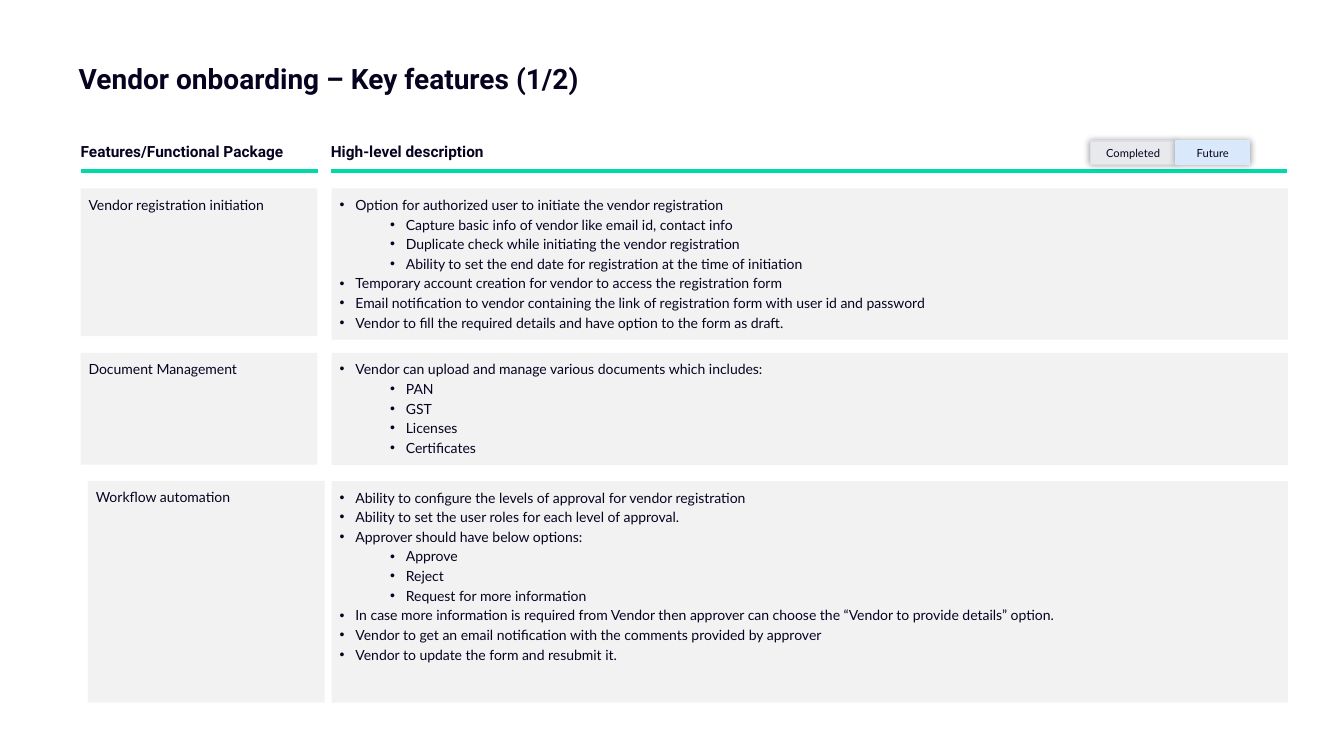
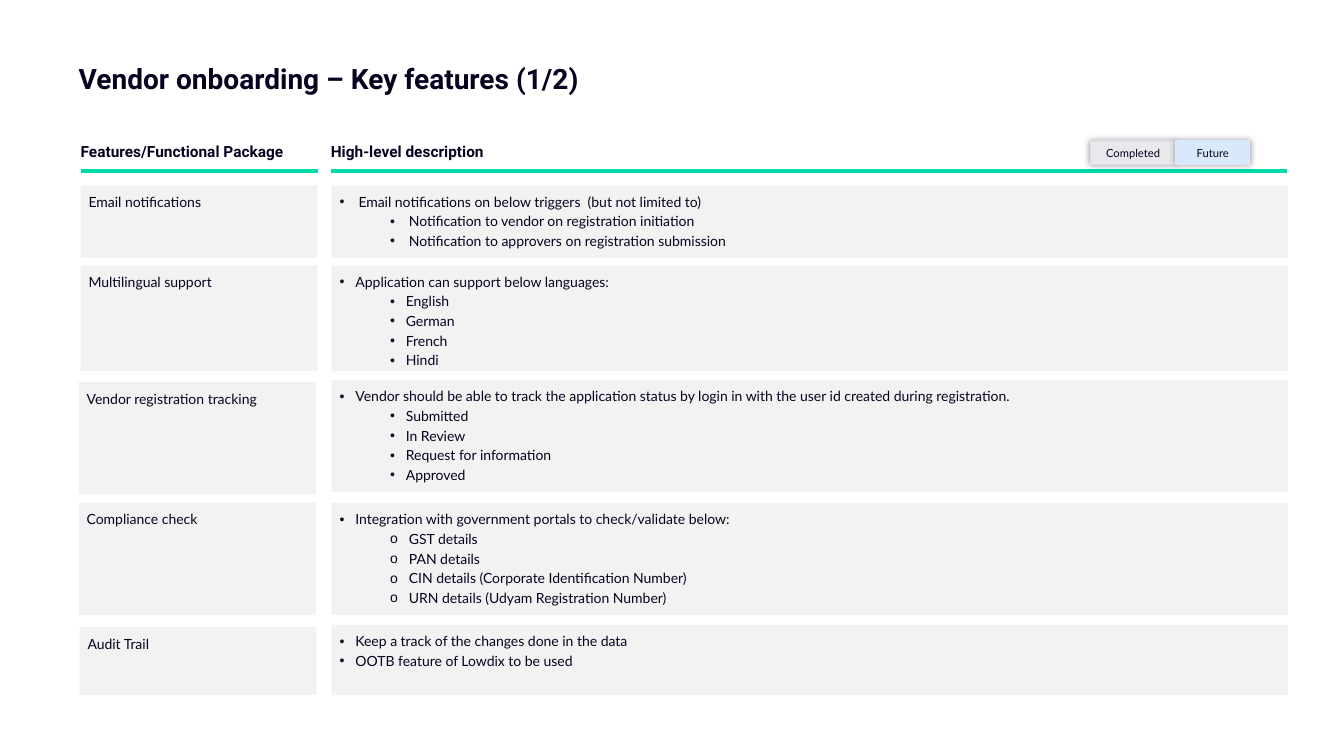
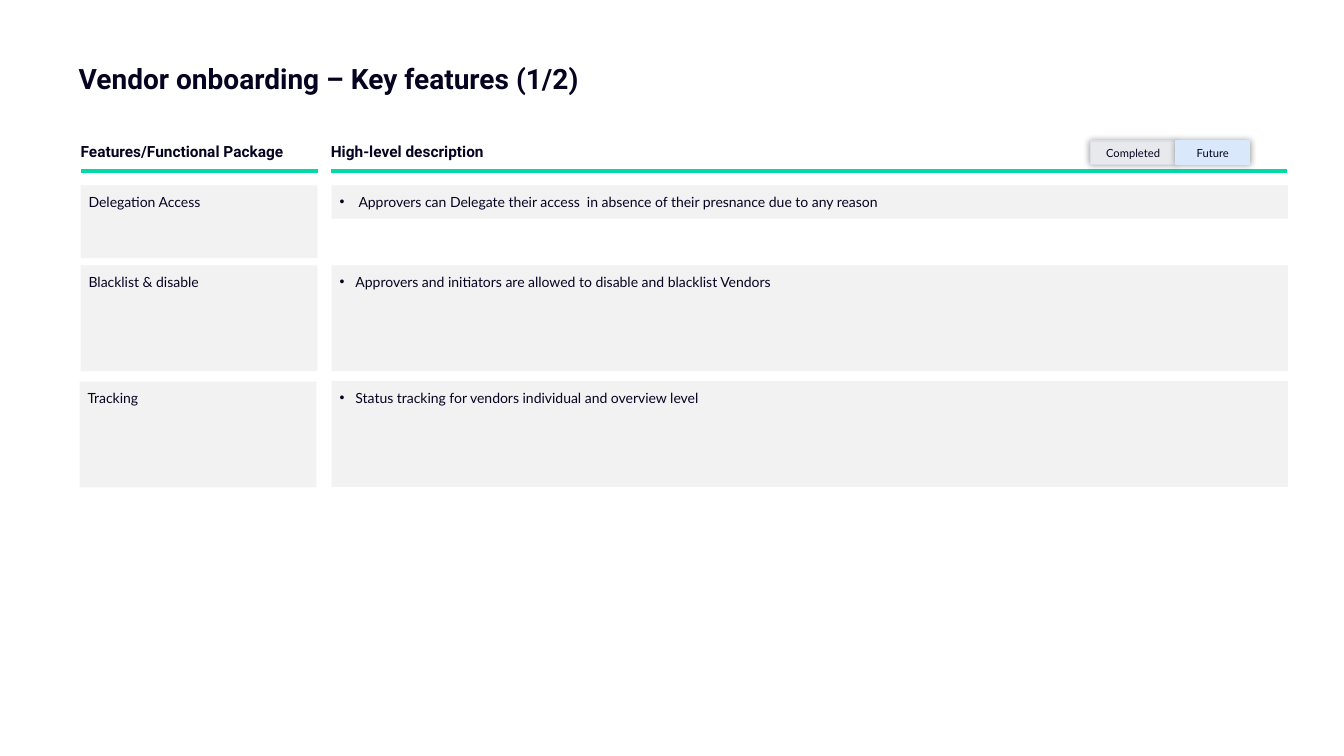
import copy
import dataclasses

import lxml.etree
import pptx
import pptx.dml.color
import pptx.enum.shapes
import pptx.enum.text
import pptx.oxml.ns
import pptx.util

Pt = pptx.util.Pt
qn = pptx.oxml.ns.qn
RGB = pptx.dml.color.RGBColor.from_string
Align = pptx.enum.text.PP_ALIGN
Anchor = pptx.enum.text.MSO_ANCHOR
Fit = pptx.enum.text.MSO_AUTO_SIZE
Shape = pptx.enum.shapes.MSO_SHAPE
Line = pptx.enum.shapes.MSO_CONNECTOR


@dataclasses.dataclass(frozen=True)
class Theme:
    """Colours, fonts, sizes and columns that all slides share."""
    ink: str = "060320"
    panel: str = "F2F2F2"
    rule: str = "00DAA9"
    done: tuple = ("E7E9ED", "DCDEE4")
    next: tuple = ("D9E9FB", "D9E9FB")
    head: str = "Roboto"
    body: str = "Lato"
    title: float = 20
    label: float = 11
    text: float = 10
    chip: float = 8
    pad: float = 5.7
    name: tuple = (57.6, 169.2)
    desc: tuple = (236.9, 683)


@dataclasses.dataclass(frozen=True)
class Row:
    """One feature: its name, its list and where the two panels sit."""
    name: str
    items: tuple
    top: float
    high: float
    tall: float = 0
    push: float = 0
    drop: float = 0
    lead: float = 11.3
    hang: float = 11.3
    mark: str = "•"


THEME = Theme()
TITLE = "Vendor onboarding – Key features (1/2)"
MOST = 5

FIRST = (
    Row("Vendor registration initiation", (
        "Option for authorized user to initiate the vendor registration",
        ("Capture basic info of vendor like email id, contact info",
         "Duplicate check while initiating the vendor registration",
         "Ability to set the end date for registration at the time of initiation"),
        "Temporary account creation for vendor to access the registration form",
        "Email notification to vendor containing the link of registration form with user id and password",
        "Vendor to fill the required details and have option to the form as draft.",
    ), 134.6, 108, tall=105.6),
    Row("Document Management", (
        "Vendor can upload and manage various documents which includes:",
        ("PAN", "GST", "Licenses", "Certificates"),
    ), 252, 80),
    Row("Workflow automation", (
        "Ability to configure the levels of approval for vendor registration",
        "Ability to set the user roles for each level of approval.",
        "Approver should have below options:",
        ("Approve", "Reject", "Request for more information"),
        "In case more information is required from Vendor then approver can choose the “Vendor to provide details” option.",
        "Vendor to get an email notification with the comments provided by approver",
        "Vendor to update the form and resubmit it.",
    ), 343.6, 158.4, push=5.2),
)

SECOND = (
    Row("Email notifications", (
        "Email notifications on below triggers  (but not limited to)",
        ("Notification to vendor on registration initiation",
         "Notification to approvers on registration submission"),
    ), 132.4, 52, lead=13.5, hang=13.5),
    Row("Multilingual support", (
        "Application can support below languages:",
        ("English", "German", "French", "Hindi"),
    ), 189.5, 75.6),
    Row("Vendor registration tracking", (
        "Vendor should be able to track the application status by login in with the user id created during registration.",
        ("Submitted", "In Review", "Request for information", "Approved"),
    ), 271.4, 80, push=-1.4, drop=1.6),
    Row("Compliance check", (
        "Integration with government portals to check/validate below:",
        ("GST details", "PAN details",
         "CIN details (Corporate Identification Number)",
         "URN details (Udyam Registration Number)"),
    ), 359.3, 80, push=-1.4, hang=13.5, mark="o"),
    Row("Audit Trail", (
        "Keep a track of the changes done in the data",
        "OOTB feature of Lowdix to be used",
    ), 446.4, 50.2, tall=48.4, push=-0.8, drop=1.6),
)

THIRD = (
    Row("Delegation Access", (
        "Approvers can Delegate their access  in absence of their presnance due to any reason",
    ), 132.4, 23.8, tall=52, lead=13.5),
    Row("Blacklist & disable", (
        "Approvers and initiators are allowed to disable and blacklist Vendors",
    ), 189.5, 75.6),
    Row("Tracking", (
        "Status tracking for vendors individual and overview level",
    ), 272.2, 75.6, push=-0.8, drop=0.4),
)


def place(shape, box):
    """Move a shape to a box given in points."""
    shape.left, shape.top, shape.width, shape.height = map(Pt, box)


def style(para, font, size, bold=False):
    """Set the face, size and colour of each run."""
    for run in para.runs:
        run.font.name, run.font.size, run.font.bold = font, Pt(size), bold
        run.font.color.rgb = RGB(THEME.ink)


def frame(shape, pads, anchor=Anchor.TOP):
    """Set wrap, insets and anchor, and return the text frame."""
    text = shape.text_frame
    text.word_wrap, text.auto_size = True, Fit.NONE
    text.vertical_anchor = anchor
    (text.margin_left, text.margin_top,
     text.margin_right, text.margin_bottom) = map(Pt, pads)
    return text


def paint(shape, fill, line=None):
    """Give a shape a plain fill, and a line if one is named."""
    shape.fill.solid()
    shape.fill.fore_color.rgb = RGB(fill)
    if line:
        shape.line.color.rgb = RGB(line)
        shape.line.width = Pt(1)
    else:
        shape.line.fill.background()


def block(slide, box, fill, line=None):
    """Add a flat rectangle."""
    shape = slide.shapes.add_shape(Shape.RECTANGLE, *map(Pt, box))
    shape.shadow.inherit = False
    paint(shape, fill, line)
    return shape


def title(slide):
    """Fill and move the title."""
    shape = slide.shapes.title
    place(shape, (56.2, 38.2, 809.3, 33.8))
    text = frame(shape, (0, 5.7, 7.2, 3.6))
    text.text = TITLE
    para = text.paragraphs[0]
    para.alignment = Align.LEFT
    style(para, THEME.head, THEME.title, True)


def header(slide, words, box):
    """Add a column label with a rule below it."""
    left, top, width, high = box
    text = frame(slide.shapes.add_textbox(*map(Pt, box)), (0, 0, 0, 0), Anchor.MIDDLE)
    text.text = words
    para = text.paragraphs[0]
    para.line_spacing, para.space_before = 0.9, Pt(10)
    style(para, THEME.head, THEME.label, True)
    base = top + high + 5
    rule = slide.shapes.add_connector(
        Line.STRAIGHT, *map(Pt, (left, base, left + width, base)))
    rule.line.color.rgb = RGB(THEME.rule)
    rule.line.width = Pt(3)
    lxml.etree.SubElement(rule._element.spPr, qn("a:effectLst"))


def chip(slide, words, box, tint):
    """Add a legend chip with a soft shadow."""
    shape = block(slide, box, *tint)
    glow = lxml.etree.SubElement(
        shape._element.spPr.find(qn("a:effectLst")), qn("a:outerShdw"),
        blurRad=str(Pt(5)), dist="0", dir="0", algn="ctr", rotWithShape="0")
    shade = lxml.etree.SubElement(glow, qn("a:srgbClr"), val="000000")
    lxml.etree.SubElement(shade, qn("a:alpha"), val="40000")
    text = frame(shape, (7.2, 3.6, 7.2, 3.6), Anchor.MIDDLE)
    text.text = words
    para = text.paragraphs[0]
    para.alignment = Align.CENTER
    style(para, THEME.body, THEME.chip)


def label(slide, words, box):
    """Add the panel that names a feature."""
    text = frame(block(slide, box, THEME.panel), [THEME.pad] * 4)
    text.text = words
    para = text.paragraphs[0]
    para.alignment, para.space_after = Align.LEFT, Pt(3)
    style(para, THEME.body, THEME.text)


def bullet(para, level, row):
    """Indent a list line and give it its mark."""
    hang = row.hang if level else row.lead
    para.level, para.alignment = level, Align.LEFT
    para.space_before, para.space_after = Pt(0), Pt(2)
    props = para._p.get_or_add_pPr()
    props.set("marL", str(Pt(36 * level + hang)))
    props.set("indent", str(Pt(-hang)))
    lxml.etree.SubElement(props, qn("a:buChar"), char=row.mark if level else "•")
    style(para, THEME.body, THEME.text)


def detail(shape, row, box):
    """Fill a body placeholder with the list of a feature."""
    place(shape, box)
    paint(shape, THEME.panel)
    lines = []
    for item in row.items:
        if isinstance(item, str):
            lines.append((0, item))
        else:
            lines += [(1, sub) for sub in item]
    text = frame(shape, [THEME.pad] * 4)
    text.text = "\n".join(words for level, words in lines)
    for para, (level, words) in zip(text.paragraphs, lines):
        bullet(para, level, row)


def build(deck, layout, rows):
    """Add one slide of features."""
    slide = deck.slides.add_slide(layout)
    slots = [slot for slot in slide.placeholders if slot.placeholder_format.idx]
    title(slide)
    (left, width), (start, span) = THEME.name, THEME.desc
    header(slide, "Features/Functional Package", (left, 100.8, width, 16.6))
    header(slide, "High-level description", (start - 0.6, 100.8, span, 16.6))
    for row, slot in zip(rows, slots):
        detail(slot, row, (start, row.top, span, row.high))
        label(slide, row.name, (left + row.push, row.top + row.drop,
                                width, row.tall or row.high))
    for slot in slots[len(rows):]:
        slot._element.getparent().remove(slot._element)
    chip(slide, "Completed", (779, 100.8, 60.8, 16.6), THEME.done)
    chip(slide, "Future", (840, 100.8, 52.6, 16.6), THEME.next)


def extend(layout):
    """Give the layout one body placeholder for each possible row."""
    body = layout.placeholders.get(idx=1)._element
    for step in range(1, MOST):
        twin = copy.deepcopy(body)
        twin.find(".//" + qn("p:ph")).set("idx", str(20 + step))
        props = twin.find(".//" + qn("p:cNvPr"))
        props.set("id", str(20 + step))
        props.set("name", f"Feature List {step + 1}")
        body.getparent().append(twin)


def main():
    """Build and save the deck."""
    deck = pptx.Presentation()
    deck.slide_width, deck.slide_height = Pt(960), Pt(540)
    layout = deck.slide_layouts[1]
    extend(layout)
    for rows in (FIRST, SECOND, THIRD):
        build(deck, layout, rows)
    deck.save("out.pptx")


if __name__ == "__main__":
    main()
